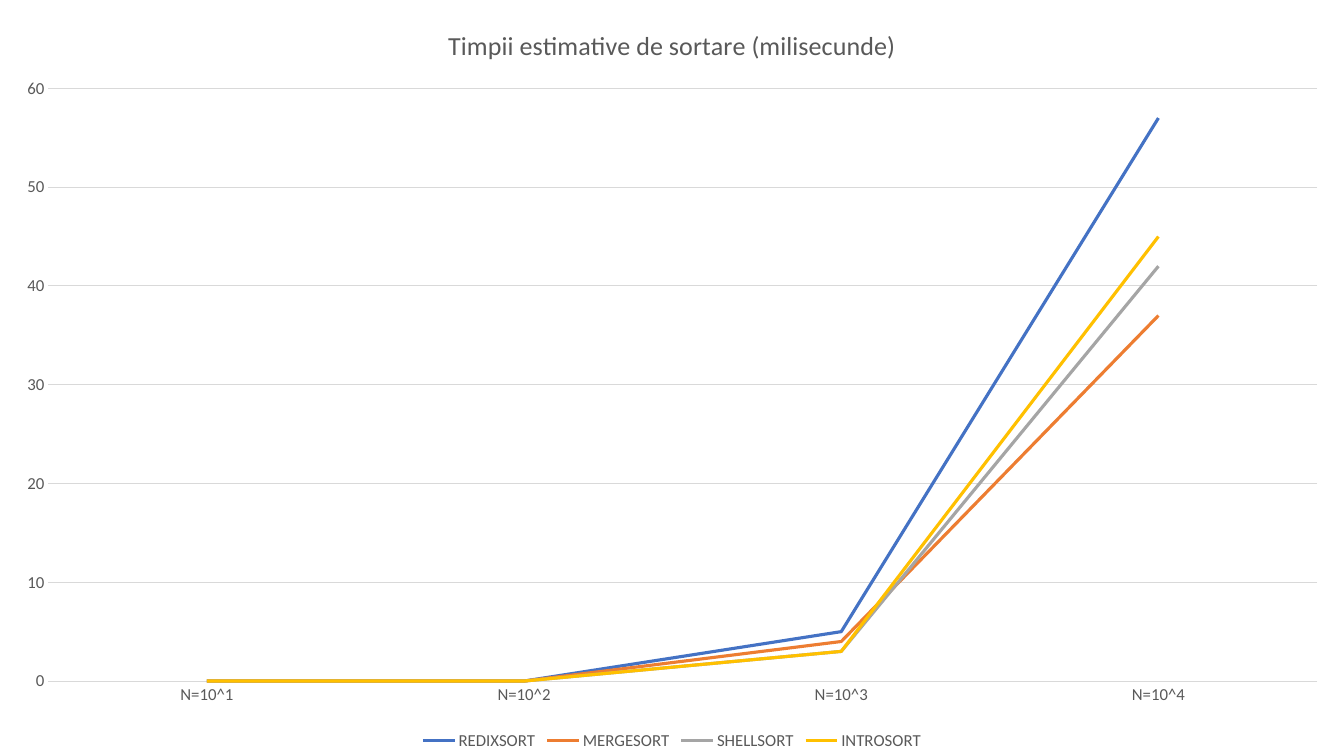
from pptx import Presentation
from pptx import util as u
from pptx.chart.data import CategoryChartData
from pptx.dml.color import RGBColor
from pptx.enum import chart as kinds
from pptx.oxml import parse_xml
from pptx.oxml.ns import nsdecls

TEXT = RGBColor(0x59, 0x59, 0x59)
GRID = RGBColor(0xD9, 0xD9, 0xD9)
BLUE = RGBColor(0x44, 0x72, 0xC4)
ORANGE = RGBColor(0xED, 0x7D, 0x31)
GRAY = RGBColor(0xA5, 0xA5, 0xA5)
GOLD = RGBColor(0xFF, 0xC0, 0x00)

WIDTH, HEIGHT = u.Inches(13.33), u.Inches(7.5)
SIZES = ["N=10^1", "N=10^2", "N=10^3", "N=10^4"]
SORTS = [
    ("REDIXSORT", [0, 0, 5, 57], BLUE),
    ("MERGESORT", [0, 0, 4, 37], ORANGE),
    ("SHELLSORT", [0, 0, 3, 42], GRAY),
    ("INTROSORT", [0, 0, 3, 45], GOLD),
]


class SlideBuilder:
    """Holds the text style and the current slide."""

    font_name = "Calibri"
    label_size = 12
    title_size = 18.6

    def __init__(self, slide):
        self.slide = slide

    def style_font(self, font, size):
        font.name = self.font_name
        font.size = u.Pt(size)
        font.bold = False
        font.color.rgb = TEXT

    def style_line(self, line, color, width):
        line.color.rgb = color
        line.width = u.Pt(width)

    def place(self, chart, part, index, **fractions):
        """Set the layout of a chart part in fractions of the chart."""
        element = chart.element.xpath(f"c:chart/c:{part}")[0]
        for former in element.xpath("c:layout"):
            element.remove(former)
        target = '<c:layoutTarget val="inner"/>' if part == "plotArea" else ""
        modes = "".join(f'<c:{key}Mode val="edge"/>' for key in "xy")
        values = "".join(f'<c:{key} val="{value}"/>' for key, value in fractions.items())
        element.insert(index, parse_xml(
            f'<c:layout {nsdecls("c")}><c:manualLayout>{target}{modes}{values}'
            "</c:manualLayout></c:layout>"))

    def line_chart(self, title, categories, series):
        data = CategoryChartData()
        data.categories = categories
        for name, values, _ in series:
            data.add_series(name, values)
        chart = self.slide.shapes.add_chart(
            kinds.XL_CHART_TYPE.LINE, 0, 0, WIDTH, HEIGHT, data).chart
        self.style_font(chart.font, self.label_size)

        # Title
        chart.has_title = True
        para = chart.chart_title.text_frame.paragraphs[0]
        span = para.add_run()
        span.text = title
        self.style_font(span.font, self.title_size)
        chart.chart_title.include_in_layout = False

        # Lines
        chart.plots[0].vary_by_categories = False
        for line, (_, _, color) in zip(chart.plots[0].series, series):
            line.smooth = False
            line.marker.style = kinds.XL_MARKER_STYLE.NONE
            self.style_line(line.format.line, color, 2.25)

        # Axes
        for axis in (chart.category_axis, chart.value_axis):
            axis.major_tick_mark = axis.minor_tick_mark = kinds.XL_TICK_MARK.NONE
            self.style_font(axis.tick_labels.font, self.label_size)
        self.style_line(chart.category_axis.format.line, GRID, 0.75)
        scale = chart.value_axis
        scale.minimum_scale, scale.maximum_scale, scale.major_unit = 0, 60, 10
        scale.format.line.fill.background()
        scale.has_major_gridlines = True
        self.style_line(scale.major_gridlines.format.line, GRID, 0.75)

        # Legend
        chart.has_legend = True
        chart.legend.position = kinds.XL_LEGEND_POSITION.BOTTOM
        chart.legend.include_in_layout = False
        self.style_font(chart.legend.font, self.label_size)
        return chart


deck = Presentation()
deck.slide_width, deck.slide_height = WIDTH, HEIGHT
page = SlideBuilder(deck.slides.add_slide(deck.slide_layouts[6]))

# Sorting times
times = page.line_chart("Timpii estimative de sortare (milisecunde)", SIZES, SORTS)
page.place(times, "title", 1, x=0.33, y=0.03)
page.place(times, "plotArea", 0, x=0.036, y=0.117, w=0.944, h=0.784)
page.place(times, "legend", 1, x=0.31, y=0.96, w=0.38, h=0.04)

deck.save("out.pptx")
